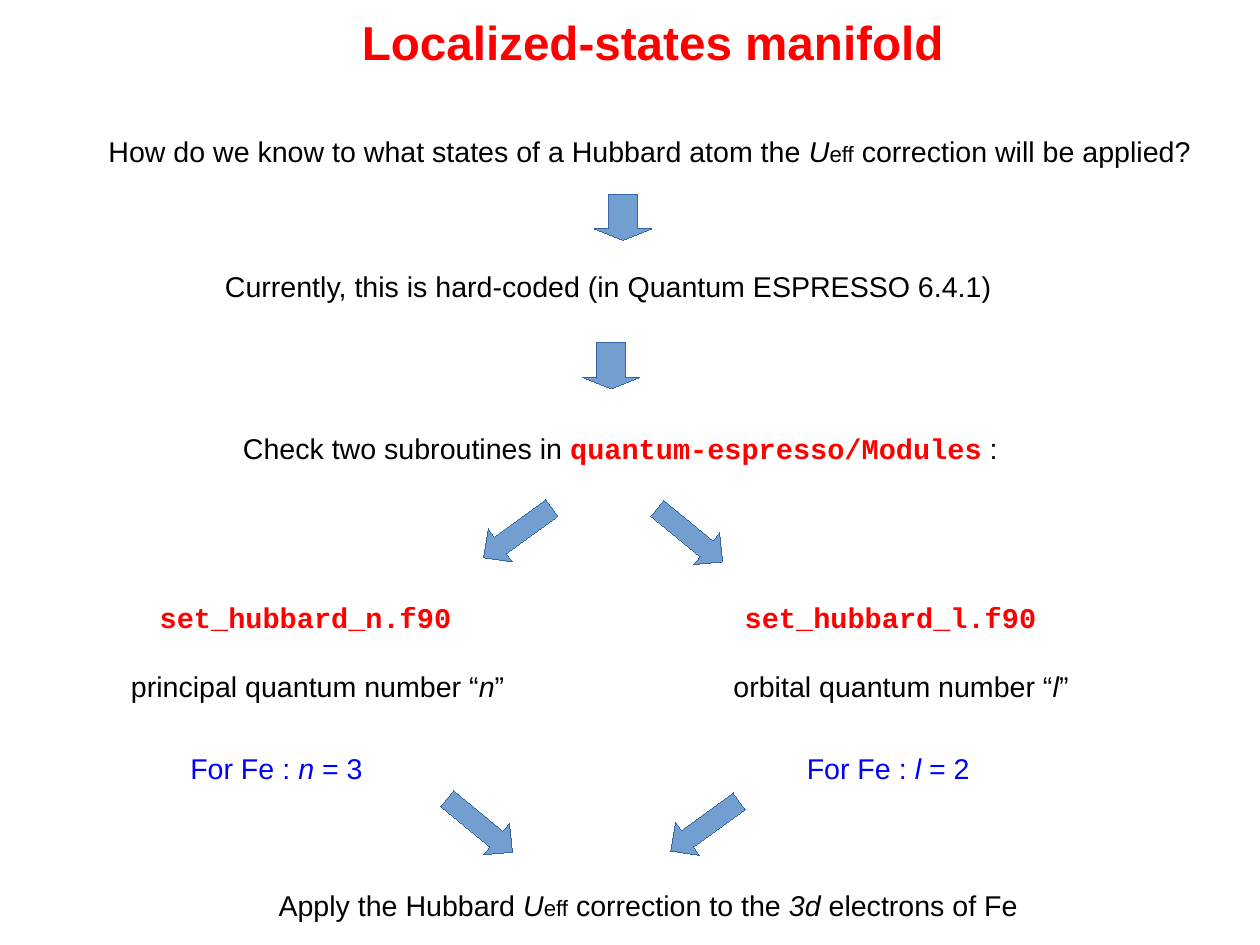
from dataclasses import dataclass

from pptx import Presentation
from pptx.dml.color import RGBColor
from pptx.enum.shapes import MSO_SHAPE
from pptx.enum.text import MSO_ANCHOR, MSO_AUTO_SIZE, PP_ALIGN
from pptx.util import Cm, Pt


@dataclass(frozen=True)
class Theme:
    sans: str = "Arial"
    mono: str = "Courier New"
    black: RGBColor = RGBColor(0, 0, 0)
    red: RGBColor = RGBColor(255, 0, 0)
    blue: RGBColor = RGBColor(0, 0, 255)
    arrow_fill: RGBColor = RGBColor(0x72, 0x9F, 0xCF)
    arrow_line: RGBColor = RGBColor(0x34, 0x65, 0xA4)
    title_size: int = 30
    body_size: int = 18
    small_size: int = 14
    hairline: float = 0.01


THEME = Theme()

STYLES = {
    "title": (THEME.sans, THEME.title_size, THEME.red, True, False),
    "plain": (THEME.sans, THEME.body_size, THEME.black, False, False),
    "italic": (THEME.sans, THEME.body_size, THEME.black, False, True),
    "small": (THEME.sans, THEME.small_size, THEME.black, False, False),
    "code": (THEME.mono, THEME.body_size, THEME.red, True, False),
    "blue": (THEME.sans, THEME.body_size, THEME.blue, False, False),
    "blue italic": (THEME.sans, THEME.body_size, THEME.blue, False, True),
}

TITLE = [("Localized-states manifold", "title")]

STEPS = [
    (2.16, 2.86, 24.7, [
        ("How do we know to what states of a Hubbard atom the ", "plain"),
        ("U", "italic"), ("eff", "small"),
        (" correction will be applied?", "plain")]),
    (4.75, 5.86, 17.7, [
        ("Currently, this is hard-coded (in Quantum ESPRESSO 6.4.1)", "plain")]),
    (5.15, 9.45, 17.4, [
        ("Check two subroutines in ", "plain"),
        ("quantum-espresso/Modules", "code"), (" :", "plain")]),
    (5.94, 19.61, 17.1, [
        ("Apply the Hubbard ", "plain"), ("U", "italic"), ("eff", "small"),
        (" correction to the ", "plain"), ("3d", "italic"),
        (" electrons of Fe", "plain")]),
]

BRANCH_TOPS = (13.21, 14.73, 16.56)
BRANCHES = [
    ("n", "principal", "3", ((3.3, 7.4), (2.66, 9), (3.98, 4.5))),
    ("l", "orbital", "2", ((16.3, 7.4), (16.05, 8.1), (17.68, 4.3))),
]

DOWN = (1.27, 1.02, 0, 0.25)
TO_LEFT = (0.91, 1.88, 54, 0.509)
TO_RIGHT = (0.91, 1.88, 309.4, 0.509)
ARROWS = [
    (13.21, 4.32, DOWN),
    (12.95, 7.62, DOWN),
    (11.05, 10.9, TO_LEFT),
    (14.88, 10.95, TO_RIGHT),
    (10.21, 17.4, TO_RIGHT),
    (15.21, 17.42, TO_LEFT),
]


def add_text(slide, left, top, width, runs, height=0.97):
    box = slide.shapes.add_textbox(Cm(left), Cm(top), Cm(width), Cm(height))
    frame = box.text_frame
    frame.word_wrap = True
    frame.auto_size = MSO_AUTO_SIZE.SHAPE_TO_FIT_TEXT
    for words, style in runs:
        run = frame.paragraphs[0].add_run()
        run.text = words
        font = run.font
        name, size, color, font.bold, font.italic = STYLES[style]
        font.name, font.size, font.color.rgb = name, Pt(size), color
    return frame


def add_title(slide):
    frame = add_text(slide, 4.51, 0.33, 20, TITLE, height=1.19)
    frame.vertical_anchor = MSO_ANCHOR.MIDDLE
    frame.margin_left = frame.margin_right = 0
    frame.margin_top = frame.margin_bottom = 0
    frame.paragraphs[0].alignment = PP_ALIGN.CENTER


def add_branch(slide, symbol, kind, value, places):
    lines = [
        [(f"set_hubbard_{symbol}.f90", "code")],
        [(f"{kind} quantum number “", "plain"), (symbol, "italic"), ("”", "plain")],
        [("For Fe : ", "blue"), (symbol, "blue italic"), (f" = {value}", "blue")],
    ]
    for (left, width), top, runs in zip(places, BRANCH_TOPS, lines):
        add_text(slide, left, top, width, runs)


def add_arrow(slide, left, top, form):
    width, height, rotation, head = form
    arrow = slide.shapes.add_shape(
        MSO_SHAPE.DOWN_ARROW, Cm(left), Cm(top), Cm(width), Cm(height))
    arrow.rotation = rotation
    arrow.adjustments[0] = 0.5
    arrow.adjustments[1] = head
    arrow.shadow.inherit = False
    arrow.fill.solid()
    arrow.fill.fore_color.rgb = THEME.arrow_fill
    arrow.line.color.rgb = THEME.arrow_line
    arrow.line.width = Pt(THEME.hairline)


def main():
    deck = Presentation()
    deck.slide_width, deck.slide_height = Cm(28), Cm(21)
    slide = deck.slides.add_slide(deck.slide_layouts[6])
    add_title(slide)
    for step in STEPS:
        add_text(slide, *step)
    for branch in BRANCHES:
        add_branch(slide, *branch)
    for arrow in ARROWS:
        add_arrow(slide, *arrow)
    deck.save("out.pptx")


if __name__ == "__main__":
    main()
